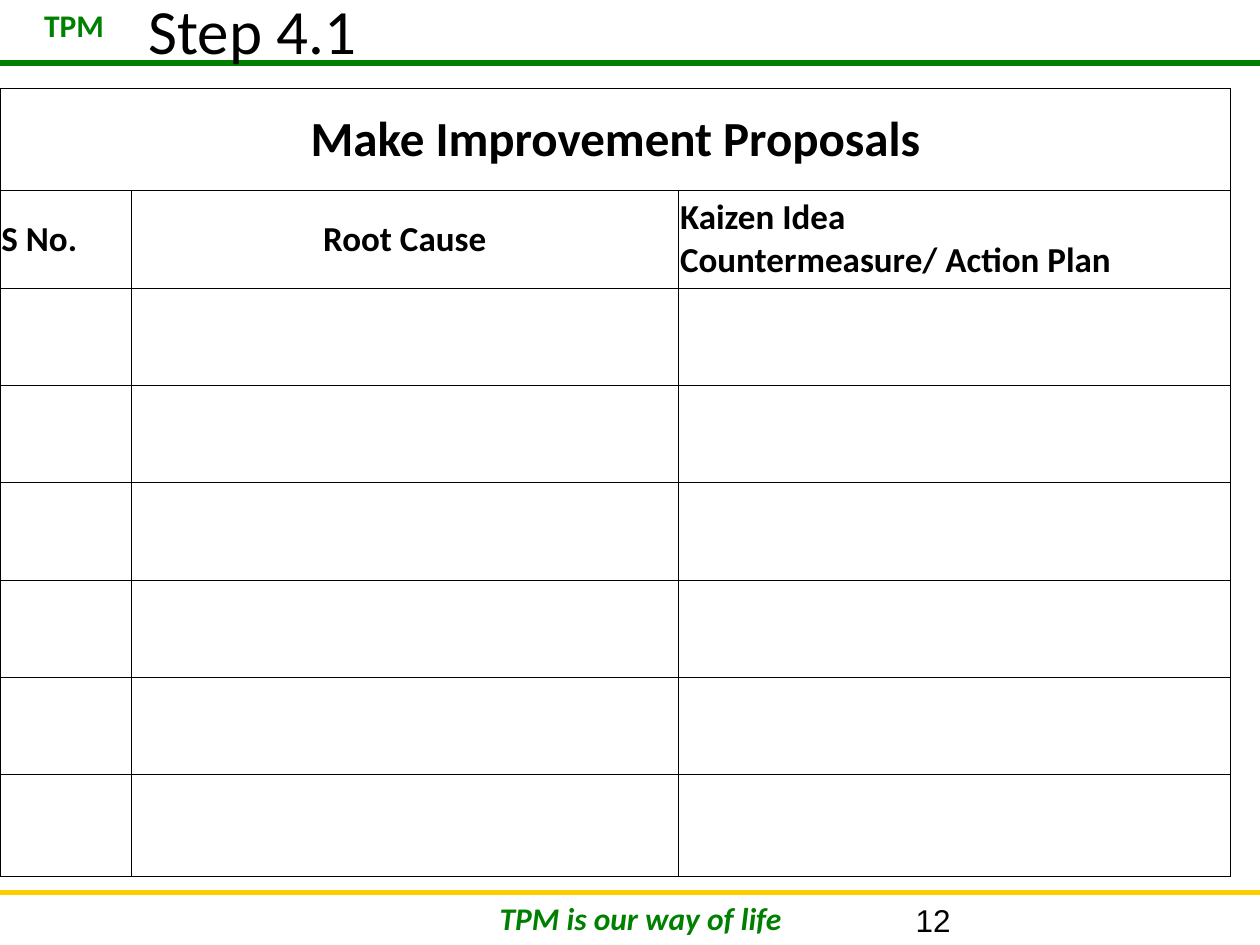
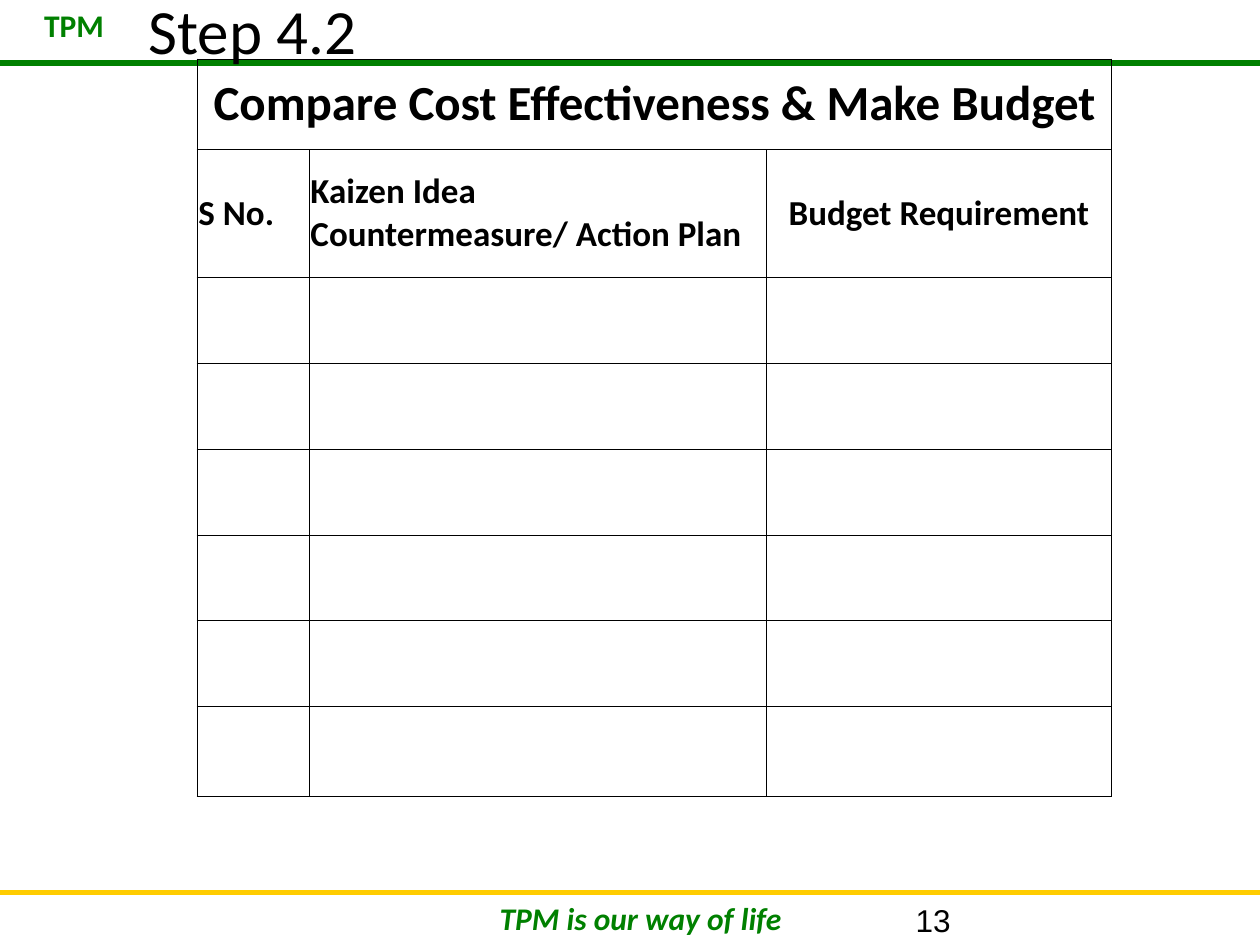
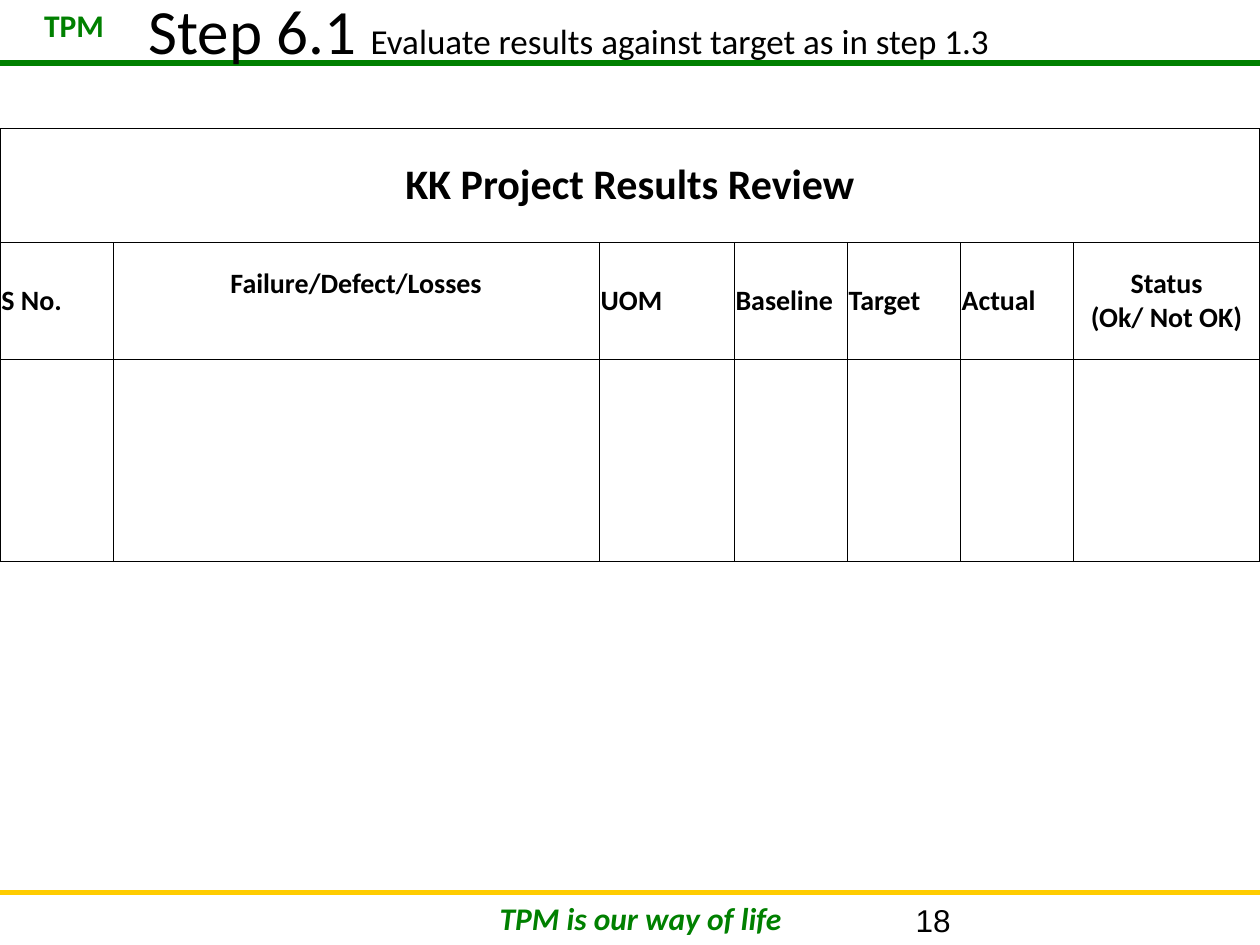
import dataclasses

import lxml.etree
import pptx
import pptx.dml.color
import pptx.enum.shapes
import pptx.enum.text
import pptx.oxml.ns
import pptx.presentation
import pptx.shapes.base
import pptx.slide
import pptx.table
import pptx.text.text
import pptx.util

Cm = pptx.util.Cm
Pt = pptx.util.Pt
qn = pptx.oxml.ns.qn
ALIGN = pptx.enum.text.PP_ALIGN
ANCHOR = pptx.enum.text.MSO_ANCHOR
AUTO_SIZE = pptx.enum.text.MSO_AUTO_SIZE

BLACK, GREEN, YELLOW = "000000", "008000", "FFCC00"
WIDTH, HEIGHT = 25.4, 19.05
TITLE_ONLY = 5
OUTER_PT, INNER_PT = 0.45, 0.23
PADDING = {"margin_left": Cm(0.03), "margin_right": Cm(0.03),
           "margin_top": Cm(0.12), "margin_bottom": Cm(0.12)}


@dataclasses.dataclass(frozen=True)
class Rule:
    y: float
    color: str


@dataclasses.dataclass(frozen=True)
class Label:
    text: str
    box: tuple[float, float, float, float]
    fmt: dict
    align: ALIGN = ALIGN.LEFT
    wrap: bool = True
    auto_size: AUTO_SIZE = AUTO_SIZE.SHAPE_TO_FIT_TEXT


@dataclasses.dataclass(frozen=True)
class Header:
    """A column heading; \\n starts a paragraph, \\v breaks a line."""
    text: str
    width: float
    align: ALIGN = ALIGN.LEFT
    extra_bottom: float = 0


@dataclasses.dataclass(frozen=True)
class Form:
    """One step: slide title, page number and the blank form below it."""
    step: str
    page: str
    heading: str
    left: float
    top: float
    headers: list[Header]
    rows: list[float]
    subtitle: str = ""
    heading_pt: int = 28
    header_pt: int = 20


RULES = [Rule(17.99, YELLOW), Rule(1.27, GREEN)]
LABELS = [
    Label("TPM is our way of life", (6.35, 17.99, 13.13, 1.02),
          {"size": Pt(18), "bold": True, "italic": True, "color": GREEN}, ALIGN.CENTER),
    Label("TPM", (0.64, 0, 1.75, 1.02),
          {"size": Pt(18), "bold": True, "color": GREEN}, wrap=False),
]
TITLE_BOX = (2.74, 0, 22.66, 1.19)
PAGE_BOX = (18.21, 18.03, 5.92, 1.02)
KAIZEN = "Kaizen Idea\nCountermeasure/ Action Plan"

FORMS = [
    Form("Step 4.1", "12", "Make Improvement Proposals", 0, 1.78,
         [Header("S No.", 2.64), Header("Root Cause", 11.04, ALIGN.CENTER),
          Header(KAIZEN, 11.13)],
         [2.06] + [1.96] * 6 + [2.06]),
    Form("Step 4.2", "13", "Compare Cost Effectiveness & Make Budget", 3.97, 1.19,
         [Header("S No.", 2.26), Header(KAIZEN, 9.22),
          Header("Budget Requirement", 6.96, ALIGN.CENTER)],
         [1.82, 2.58] + [1.73] * 5 + [1.82]),
    Form("Step 6.1 ", "18", "KK Project Results Review", 0, 2.59,
         [Header("S No.", 2.28),
          Header("Failure/Defect/Losses", 9.8, ALIGN.CENTER, extra_bottom=0.69),
          Header("UOM", 2.72), Header("Baseline", 2.28), Header("Target", 2.28),
          Header("Actual", 2.28), Header("Status\v(Ok/ Not OK)", 3.76, ALIGN.CENTER)],
         [2.3, 2.36, 4.07],
         subtitle="Evaluate results against target as in step 1.3",
         heading_pt=24, header_pt=16),
]


def rgb(color: str) -> pptx.dml.color.RGBColor:
    return pptx.dml.color.RGBColor.from_string(color)


def set_all(obj: object, values: dict) -> None:
    for name, value in values.items():
        setattr(obj, name, value)


def format_font(font: pptx.text.text.Font, fmt: dict) -> None:
    values = {"name": "Calibri", "color": BLACK} | fmt
    font.color.rgb = rgb(values.pop("color"))
    set_all(font, values)


def add_run(p, text: str, fmt: dict) -> None:
    r = p.add_run()
    r.text = text
    format_font(r.font, fmt)


def place(sp: pptx.shapes.base.BaseShape, box: tuple[float, float, float, float]) -> None:
    set_all(sp, dict(zip(("left", "top", "width", "height"), map(Cm, box))))


def add_rule(s: pptx.slide.Slide, rule: Rule) -> None:
    y = Cm(rule.y)
    line = s.shapes.add_connector(pptx.enum.shapes.MSO_CONNECTOR.STRAIGHT, 0, y, Cm(WIDTH), y)
    line.line.color.rgb = rgb(rule.color)
    line.line.width = Pt(3)
    lxml.etree.SubElement(line.element.spPr, qn("a:effectLst"))


def add_label(s: pptx.slide.Slide, label: Label) -> None:
    tf = s.shapes.add_textbox(*map(Cm, label.box)).text_frame
    set_all(tf, {"word_wrap": label.wrap, "auto_size": label.auto_size})
    p = tf.paragraphs[0]
    p.alignment = label.align
    add_run(p, label.text, label.fmt)


def set_title(s: pptx.slide.Slide, form: Form) -> None:
    sp = s.shapes.title
    s.shapes.element.append(sp.element)  # in front of the green rule
    place(sp, TITLE_BOX)
    tf = sp.text_frame
    set_all(tf, {"vertical_anchor": ANCHOR.MIDDLE, "word_wrap": True,
                 "auto_size": AUTO_SIZE.NONE})
    p = tf.paragraphs[0]
    p.alignment = ALIGN.LEFT
    add_run(p, form.step, {"size": Pt(36)})
    if form.subtitle:
        add_run(p, form.subtitle, {"size": Pt(20)})


def set_borders(cell, outer: dict[str, bool]) -> None:
    """Draw the four sides, heavier where the side is on the table's edge."""
    tcPr = cell._tc.get_or_add_tcPr()
    for side, on_edge in outer.items():
        width = Pt(OUTER_PT if on_edge else INNER_PT)
        ln = lxml.etree.SubElement(tcPr, qn(f"a:ln{side}"), w=str(width))
        fill = lxml.etree.SubElement(ln, qn("a:solidFill"))
        lxml.etree.SubElement(fill, qn("a:srgbClr"), val=BLACK)


def fill_cell(cell, text: str, size: int, align: ALIGN) -> None:
    cell.text = text
    for p in cell.text_frame.paragraphs:
        p.alignment = align
        for r in p.runs:
            format_font(r.font, {"size": Pt(size), "bold": True})


def add_form(s: pptx.slide.Slide, form: Form) -> None:
    widths = [h.width for h in form.headers]
    n_rows, n_cols = len(form.rows), len(widths)
    box = (form.left, form.top, sum(widths), sum(form.rows))
    table = s.shapes.add_table(n_rows, n_cols, *map(Cm, box)).table
    set_all(table, {"first_row": False, "horz_banding": False})
    for col, width in zip(table.columns, widths):
        col.width = Cm(width)
    for row, height in zip(table.rows, form.rows):
        row.height = Cm(height)

    for i in range(n_rows):
        for j in range(n_cols):
            cell = table.cell(i, j)
            set_all(cell, PADDING | {"vertical_anchor": ANCHOR.MIDDLE})
            set_borders(cell, {"L": j == 0, "R": j == n_cols - 1 or i == 0,
                               "T": i == 0, "B": i == n_rows - 1})
            cell.fill.background()

    heading = table.cell(0, 0)
    heading.merge(table.cell(0, n_cols - 1))
    fill_cell(heading, form.heading, form.heading_pt, ALIGN.CENTER)
    for j, header in enumerate(form.headers):
        cell = table.cell(1, j)
        fill_cell(cell, header.text, form.header_pt, header.align)
        cell.margin_bottom += Cm(header.extra_bottom)


def add_step(prs: pptx.presentation.Presentation, form: Form) -> None:
    s = prs.slides.add_slide(prs.slide_layouts[TITLE_ONLY])
    for rule in RULES:
        add_rule(s, rule)
    for label in LABELS:
        add_label(s, label)
    set_title(s, form)
    add_form(s, form)
    add_label(s, Label(form.page, PAGE_BOX, {"name": "Arial", "size": Pt(18)},
                       auto_size=AUTO_SIZE.NONE))


def main() -> None:
    prs = pptx.Presentation()
    set_all(prs, {"slide_width": Cm(WIDTH), "slide_height": Cm(HEIGHT)})
    for form in FORMS:
        add_step(prs, form)
    prs.save("out.pptx")


if __name__ == "__main__":
    main()
